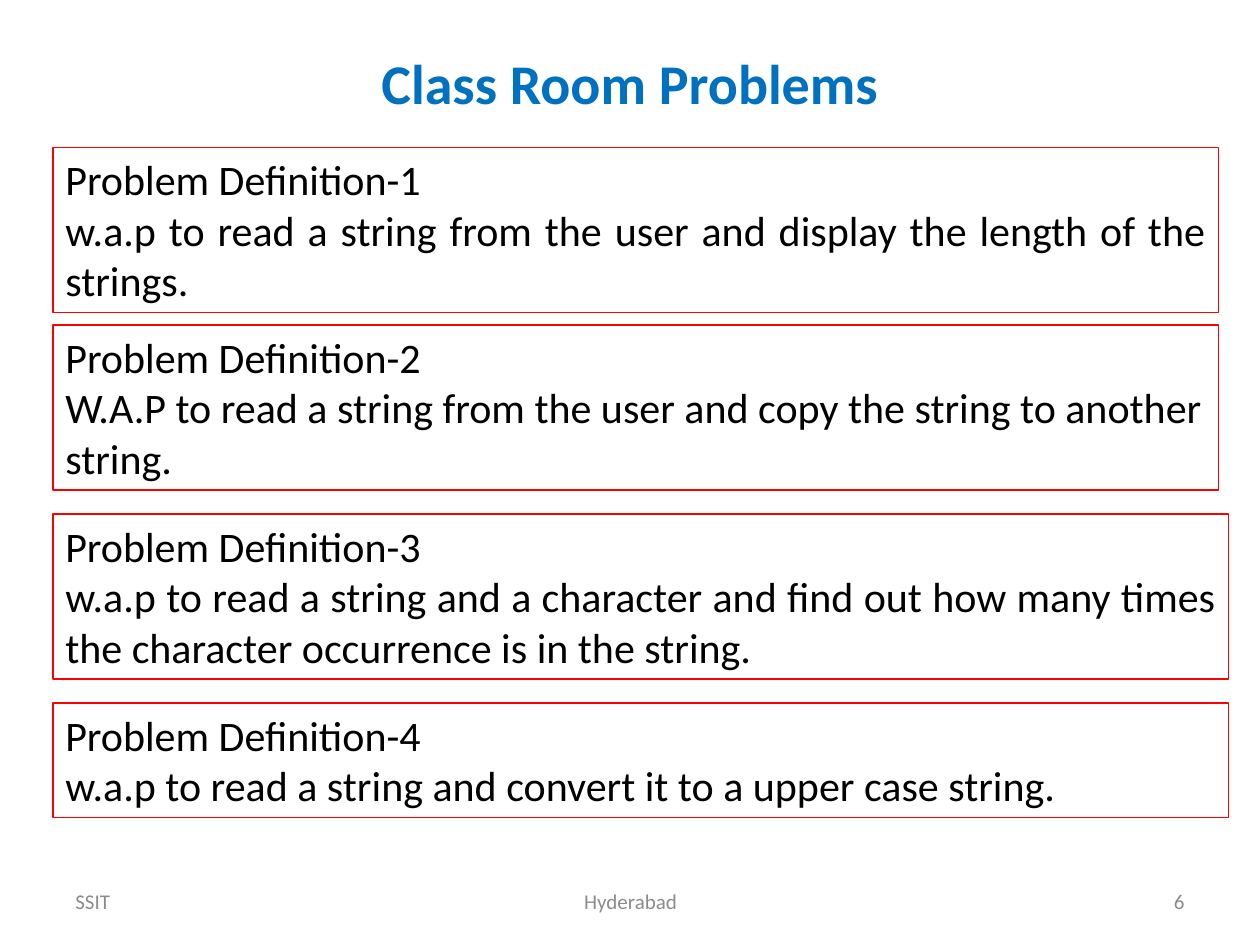
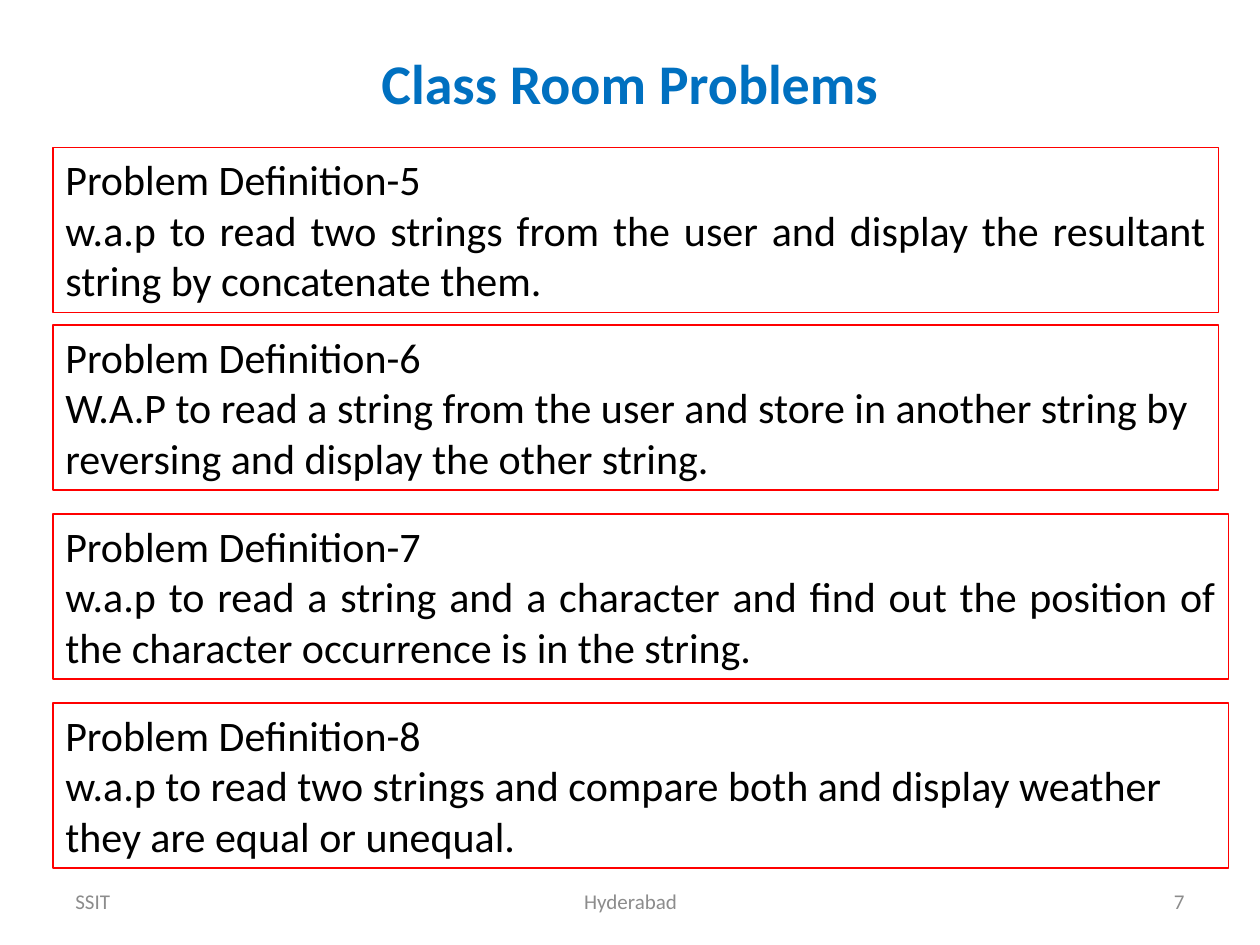
from pptx import Presentation
from pptx.dml.color import RGBColor
from pptx.enum.shapes import MSO_SHAPE
from pptx.enum.text import MSO_ANCHOR, MSO_AUTO_SIZE, PP_ALIGN
from pptx.util import Inches, Pt

FONT = "Calibri"
TITLE_BLUE = "0070C0"
FRAME_RED = "FF0000"
BODY_BLACK = "000000"
FOOTER_GREY = "8C8C8C"

LEFT, CENTER, RIGHT, JUSTIFY = PP_ALIGN.LEFT, PP_ALIGN.CENTER, PP_ALIGN.RIGHT, PP_ALIGN.JUSTIFY

FRAME_LEFT = 0.42
FRAME_SLOTS = [(1.17, 9.25), (2.58, 9.25), (4.08, 9.33), (5.58, 9.33)]
LINE_HEIGHT = 0.4
FRAME_PADDING = 0.11

FIRST_PAGE = 6
PAGES = [
    [
        ("w.a.p to read a string from the user and display the length of the strings.", JUSTIFY, 2),
        ("W.A.P to read a string from the user and copy the string to another string.", LEFT, 2),
        ("w.a.p to read a string and a character and find out how many times "
         "the character occurrence is in the string.", JUSTIFY, 2),
        ("w.a.p to read a string and convert it to a upper case string.", JUSTIFY, 1),
    ],
    [
        ("w.a.p to read two strings from the user and display the resultant "
         "string by concatenate them.", JUSTIFY, 2),
        ("W.A.P to read a string from the user and store in another string by "
         "reversing and display the other string.", LEFT, 2),
        ("w.a.p to read a string and a character and find out the position of "
         "the character occurrence is in the string.", JUSTIFY, 2),
        ("w.a.p to read two strings and compare both and display weather "
         "they are equal or unequal.", LEFT, 2),
    ],
]


def rgb(hex_colour):
    return RGBColor.from_string(hex_colour)


def style(paragraph, text, size, colour, align=LEFT, bold=False):
    paragraph.text = text
    paragraph.alignment = align
    paragraph.font.name = FONT
    paragraph.font.size = Pt(size)
    paragraph.font.bold = bold
    paragraph.font.color.rgb = rgb(colour)


def add_label(slide, area, text, size, colour, align, bold=False):
    label = slide.shapes.add_textbox(*map(Inches, area)).text_frame
    label.word_wrap = True
    label.vertical_anchor = MSO_ANCHOR.MIDDLE
    style(label.paragraphs[0], text, size, colour, align, bold)


def add_title(slide):
    add_label(slide, (0.5, 0.3, 9, 0.7), "Class Room Problems", 32, TITLE_BLUE, CENTER, True)


def add_problem(slide, number, slot, task, align, task_lines):
    top, width = slot
    height = FRAME_PADDING + LINE_HEIGHT * (1 + task_lines)
    frame = slide.shapes.add_shape(
        MSO_SHAPE.RECTANGLE, Inches(FRAME_LEFT), Inches(top), Inches(width), Inches(height))
    frame.shadow.inherit = False
    frame.fill.background()
    frame.line.color.rgb = rgb(FRAME_RED)
    frame.line.width = Pt(0.75)
    body = frame.text_frame
    body.word_wrap = True
    body.auto_size = MSO_AUTO_SIZE.SHAPE_TO_FIT_TEXT
    body.vertical_anchor = MSO_ANCHOR.TOP
    style(body.paragraphs[0], f"Problem Definition-{number}", 24, BODY_BLACK)
    style(body.add_paragraph(), task, 24, BODY_BLACK, align)


def add_footer(slide, page_number):
    for left, width, text, align in [
        (0.5, 2.33, "SSIT", LEFT),
        (7.17, 2.33, str(page_number), RIGHT),
        (3.42, 3.17, "Hyderabad", CENTER),
    ]:
        add_label(slide, (left, 6.95, width, 0.4), text, 12, FOOTER_GREY, align)


def main():
    deck = Presentation()
    deck.slide_width, deck.slide_height = Inches(10), Inches(7.5)
    blank = deck.slide_layouts[6]
    for page_index, problems in enumerate(PAGES):
        slide = deck.slides.add_slide(blank)
        add_title(slide)
        first_number = page_index * len(FRAME_SLOTS) + 1
        for number, (slot, problem) in enumerate(zip(FRAME_SLOTS, problems), first_number):
            add_problem(slide, number, slot, *problem)
        add_footer(slide, FIRST_PAGE + page_index)
    deck.save("out.pptx")


if __name__ == "__main__":
    main()
